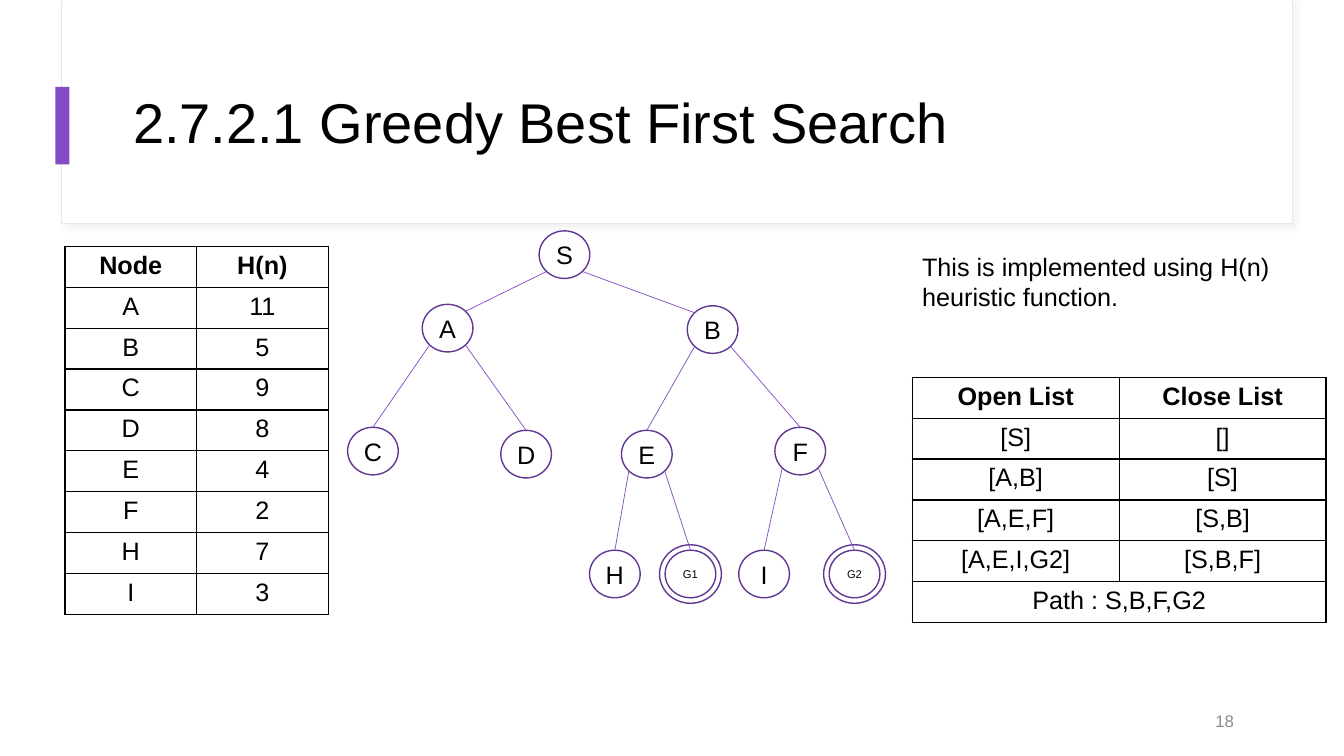
from dataclasses import dataclass
from math import sqrt

from lxml.etree import SubElement
from pptx import Presentation
from pptx.dml.color import RGBColor as Rgb
from pptx.enum.shapes import MSO_CONNECTOR as Connector, MSO_SHAPE as Shape
from pptx.enum.text import MSO_ANCHOR as Anchor, PP_ALIGN as Align
from pptx.oxml import parse_xml
from pptx.oxml.ns import nsdecls, qn
from pptx.util import Pt


@dataclass(frozen=True)
class Theme:
    """Colours, type sizes and shared measures of the slide."""
    font: str = "Arial"
    ink: str = "000000"
    paper: str = "FFFFFF"
    muted: str = "8C8C8C"
    accent: str = "844BC5"
    outline: str = "623792"
    card_line: str = "E3E8EF"
    title: int = 40
    body: int = 18
    footer: int = 12
    goal: int = 8
    node_size: tuple = (36.2, 34)
    ring_size: tuple = (44.2, 41.8)
    row_height: float = 29.2


THEME = Theme()

NODE_CENTRES = {
    "S": (403.2, 181.9),
    "A": (319.7, 234.4), "B": (509, 235.4),
    "C": (266.4, 322.2), "D": (375.8, 324.4),
    "E": (462, 324.4), "F": (571.6, 322.2),
    "H": (439.2, 410), "G1": (493.2, 410),
    "I": (545.8, 410), "G2": (610.4, 410),
}
CHILDREN = {"S": "AB", "A": "CD", "B": "EF", "E": ("H", "G1"), "F": ("I", "G2")}
GOALS = ("G1", "G2")

HEURISTICS = [("Node", "H(n)"), ("A", "11"), ("B", "5"), ("C", "9"), ("D", "8"),
              ("E", "4"), ("F", "2"), ("H", "7"), ("I", "3")]
SEARCH_STEPS = [("Open List", "Close List"), ("[S]", "[]"), ("[A,B]", "[S]"),
                ("[A,E,F]", "[S,B]"), ("[A,E,I,G2]", "[S,B,F]"),
                ("Path : S,B,F,G2", "")]


def style_text(frame, size, color=THEME.ink, align=Align.LEFT, bold=False):
    """Format every run of a text frame."""
    for paragraph in frame.paragraphs:
        paragraph.alignment = align
        for run in paragraph.runs:
            run.font.name = THEME.font
            run.font.size = Pt(size)
            run.font.bold = bold
            run.font.color.rgb = Rgb.from_string(color)


def add_text(slide, text, box, size, anchor=Anchor.MIDDLE, **style):
    """Add a wrapping text box and return its frame."""
    frame = slide.shapes.add_textbox(*map(Pt, box)).text_frame
    frame.word_wrap = True
    frame.vertical_anchor = anchor
    frame.text = text
    style_text(frame, size, **style)
    return frame


def add_panel(slide, box, fill, line=None):
    """Add a flat rectangle, outlined if a line colour is given."""
    panel = slide.shapes.add_shape(Shape.RECTANGLE, *map(Pt, box))
    panel.shadow.inherit = False
    panel.fill.solid()
    panel.fill.fore_color.rgb = Rgb.from_string(fill)
    if line:
        panel.line.color.rgb = Rgb.from_string(line)
        panel.line.width = Pt(0.75)
    else:
        panel.line.fill.background()
    return panel


def add_soft_shadow(panel):
    """Give a panel a faint shadow towards the lower right."""
    effects = panel._element.spPr.find(qn("a:effectLst"))
    effects.append(parse_xml(
        f'<a:outerShdw {nsdecls("a")} blurRad="{Pt(4)}" dist="{Pt(3)}" dir="2700000">'
        '<a:srgbClr val="D9D9D9"><a:alpha val="30000"/></a:srgbClr></a:outerShdw>'))


def add_ellipse(slide, centre, size):
    """Add an unfilled ellipse around a centre."""
    (x, y), (width, height) = centre, size
    ellipse = slide.shapes.add_shape(
        Shape.OVAL, Pt(x - width / 2), Pt(y - height / 2), Pt(width), Pt(height))
    ellipse.shadow.inherit = False
    ellipse.fill.background()
    ellipse.line.color.rgb = Rgb.from_string(THEME.outline)
    ellipse.line.width = Pt(1)
    return ellipse


def add_node(slide, name):
    """Add a labelled tree node, ringed if it is a goal."""
    centre = NODE_CENTRES[name]
    frame = add_ellipse(slide, centre, THEME.node_size).text_frame
    frame.margin_left = frame.margin_right = frame.margin_top = frame.margin_bottom = 0
    frame.word_wrap = False
    frame.vertical_anchor = Anchor.MIDDLE
    frame.text = name
    style_text(frame, THEME.goal if name in GOALS else THEME.body, align=Align.CENTER)
    if name in GOALS:
        add_ellipse(slide, centre, THEME.ring_size)


def rim_point(name, across, down):
    """Return the point on a node's rim in a direction from its centre."""
    x, y = NODE_CENTRES[name]
    width, height = THEME.node_size
    length = sqrt(across ** 2 + down ** 2)
    return x + across / length * width / 2, y + down / length * height / 2


def add_edge(slide, parent, child, side):
    """Link a parent's lower rim (side -1 left, 1 right) to its child."""
    start = rim_point(parent, side, 1)
    end = rim_point(child, -side if parent == "S" else 0, -1)
    edge = slide.shapes.add_connector(Connector.STRAIGHT, *map(Pt, start + end))
    edge.line.color.rgb = Rgb.from_string(THEME.accent)
    edge.line.width = Pt(0.5)
    SubElement(edge._element.spPr, qn("a:effectLst"))


def add_cell_borders(cell):
    """Draw all four borders of a table cell."""
    properties = cell._tc.get_or_add_tcPr()
    for side in ("lnL", "lnR", "lnT", "lnB"):
        border = SubElement(properties, qn(f"a:{side}"), w=str(Pt(1)))
        ink = SubElement(border, qn("a:solidFill"))
        SubElement(ink, qn("a:srgbClr"), val=THEME.ink)


def add_grid(slide, rows, left, top, column_width):
    """Add a bordered two-column table with a bold header row."""
    grid = slide.shapes.add_table(
        len(rows), 2, Pt(left), Pt(top), Pt(2 * column_width),
        Pt(len(rows) * THEME.row_height)).table
    grid.first_row = grid.horz_banding = False
    for column in grid.columns:
        column.width = Pt(column_width)
    for r, values in enumerate(rows):
        grid.rows[r].height = Pt(THEME.row_height)
        for c, value in enumerate(values):
            cell = grid.cell(r, c)
            cell.text_frame.text = value
            style_text(cell.text_frame, THEME.body, align=Align.CENTER, bold=r == 0)
            add_cell_borders(cell)
            cell.fill.background()
    return grid


def main():
    """Build the slide and save it."""
    deck = Presentation()
    deck.slide_width, deck.slide_height = Pt(960), Pt(540)
    slide = deck.slides.add_slide(deck.slide_layouts[6])

    add_soft_shadow(add_panel(slide, (44, 0, 879, 159.5), THEME.paper, THEME.card_line))
    add_panel(slide, (44.6, 0, 878, 158.5), THEME.paper)
    add_panel(slide, (39.6, 62, 10, 55.5), THEME.accent)
    title = add_text(slide, "2.7.2.1 Greedy Best First Search",
                     (88, 43, 800, 93), THEME.title)
    title.paragraphs[0].line_spacing = 0.9
    add_text(slide, "18", (672.5, 500.5, 216, 28.8), THEME.footer,
             color=THEME.muted, align=Align.RIGHT)

    for name in NODE_CENTRES:
        add_node(slide, name)
    for parent, children in CHILDREN.items():
        for side, child in zip((-1, 1), children):
            add_edge(slide, parent, child, side)

    add_grid(slide, HEURISTICS, 46.4, 176, 94)
    add_text(slide, "This is implemented using H(n) heuristic function.",
             (651.6, 176, 263.5, 72.7), THEME.body, anchor=Anchor.TOP)
    steps = add_grid(slide, SEARCH_STEPS, 651.6, 269.5, 147.8)
    last = len(SEARCH_STEPS) - 1
    steps.cell(last, 0).merge(steps.cell(last, 1))

    deck.save("out.pptx")


main()
